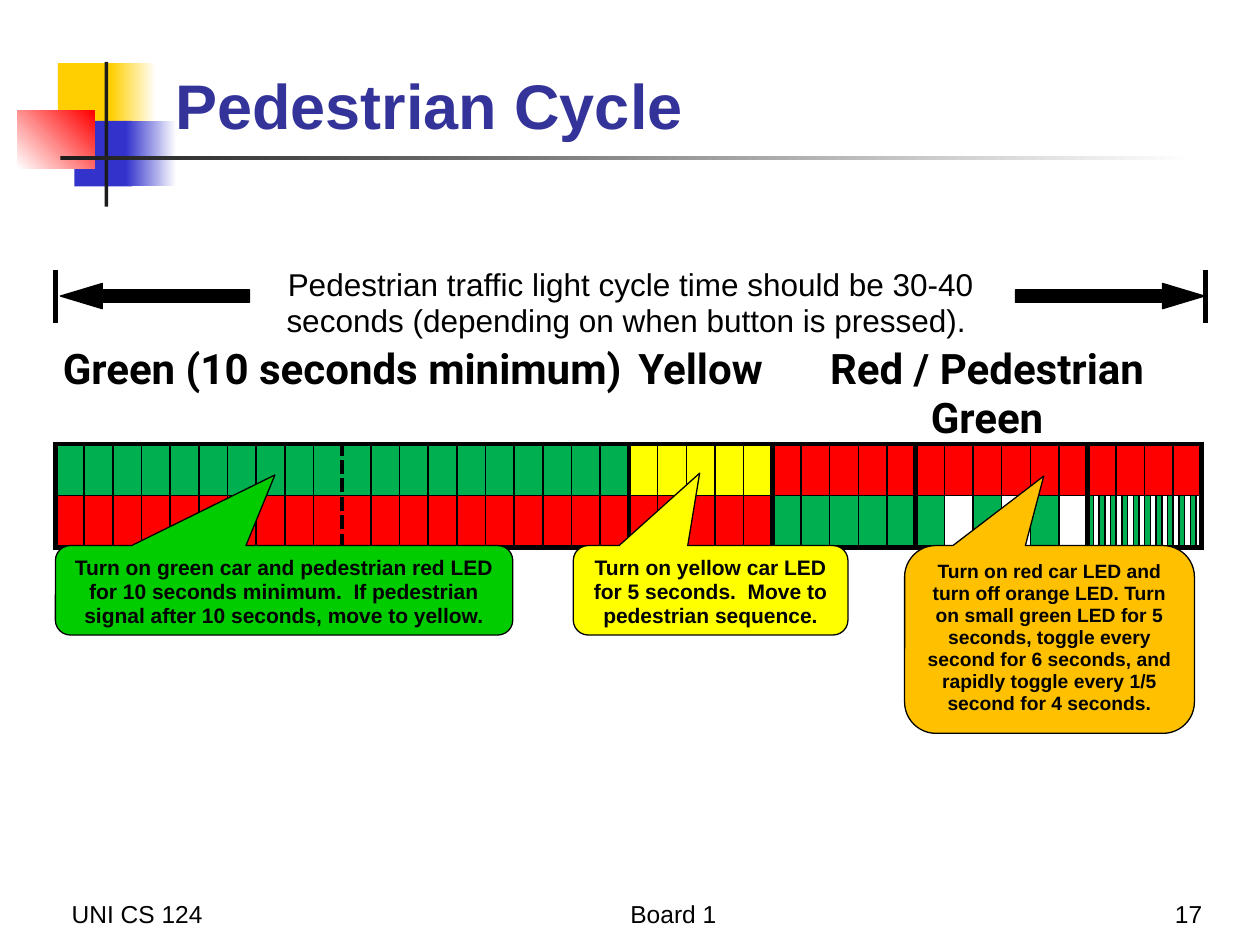
"""Build the Pedestrian Cycle slide with its traffic light timeline."""
from typing import NamedTuple, Optional

from lxml.etree import SubElement
from pptx import Presentation
from pptx.dml.color import RGBColor
from pptx.enum.shapes import MSO_CONNECTOR, MSO_SHAPE
from pptx.enum.text import MSO_ANCHOR, PP_ALIGN
from pptx.oxml.ns import qn
from pptx.util import Pt

PX = 9144
COLORS = {
    "black": "000000", "white": "FFFFFF", "title": "333399", "ink": "1C1C1C",
    "gold": "FFCF01", "blue": "3333CC", "red": "FF0000", "green": "00B050",
    "yellow": "FFFF00", "lime": "00CC00", "orange": "FFC000",
}
PLAIN_TABLE_STYLE = "{2D5ABB26-0587-4C30-8999-92F81FD0307C}"
TABLE_BOX = (44, 274, 911, 122)
ROW_HEIGHT = 41
CYCLE_SECONDS = 40
WHOLE_SECONDS = 36
BLINKS = 5
COLUMNS = WHOLE_SECONDS + (CYCLE_SECONDS - WHOLE_SECONDS) * BLINKS
PHASE_EDGES = {0, 20, 25, 30, 36, COLUMNS}
MINIMUM_EDGE = 10

Box = tuple[int, int, int, int]


class Ornament(NamedTuple):
    box: Box
    start: str
    end: Optional[str] = None
    angle: int = 0


class Caption(NamedTuple):
    box: Box
    text: str
    size: int
    align: PP_ALIGN
    anchor: MSO_ANCHOR
    spacing: float


class Callout(NamedTuple):
    box: Box
    text: str
    size: int
    fill: str
    tip: tuple[float, float]


class Phase(NamedTuple):
    label: str
    first: int
    last: int
    car: str


ORNAMENTS = [
    Ornament((46, 50, 48, 52), "gold"),
    Ornament((88, 50, 36, 52), "gold", "white"),
    Ornament((59, 96, 46, 52), "blue"),
    Ornament((100, 96, 40, 52), "blue", "white"),
    Ornament((14, 88, 61, 46), "white", "red", 45),
    Ornament((83, 49, 3, 115), "ink"),
    Ornament((48, 124, 900, 3), "ink", "white"),
]
CAPTIONS = [
    Caption((47, 692, 208, 50), "UNI CS 124", 14, PP_ALIGN.LEFT, MSO_ANCHOR.BOTTOM, 1),
    Caption((278, 692, 513, 50), "Board 1", 14, PP_ALIGN.CENTER, MSO_ANCHOR.BOTTOM, 1),
    Caption((756, 692, 208, 50), "17", 14, PP_ALIGN.RIGHT, MSO_ANCHOR.BOTTOM, 1),
    Caption((176, 208, 649, 68), "Pedestrian traffic light cycle time should be 30-40 seconds "
            "(depending on when button is pressed). ", 18, PP_ALIGN.CENTER, MSO_ANCHOR.TOP, 0.95),
]
CALLOUTS = [
    Callout((44, 433, 363, 71), "Turn on green car and pedestrian red LED for 10 seconds minimum.  "
            "If pedestrian signal after 10 seconds, move to yellow.", 12, "lime", (-0.02, -1.29)),
    Callout((455, 433, 218, 71), "Turn on yellow car LED for 5 seconds.  "
            "Move to pedestrian sequence.", 12, "yellow", (-0.04, -1.31)),
    Callout((718, 433, 230, 149), "Turn on red car LED and turn off orange LED. Turn on small green "
            "LED for 5 seconds, toggle every second for 6 seconds, and rapidly toggle every 1/5 "
            "second for 4 seconds.", 11, "orange", (-0.02, -0.87)),
]
PHASES = [
    Phase("Green (10 seconds minimum)", 0, 20, "green"),
    Phase("Yellow", 20, 25, "yellow"),
    Phase("Red / Pedestrian Green", 25, COLUMNS, "red"),
]


def rgb(name: str) -> RGBColor:
    return RGBColor.from_string(COLORS[name])


def emu(box: Box) -> list[int]:
    return [length * PX for length in box]


def write(frame, text: str, size: int, align=PP_ALIGN.CENTER, color="black",
          bold=False, font="Arial", spacing=1.0) -> None:
    frame.text = text
    paragraph = frame.paragraphs[0]
    paragraph.alignment = align
    paragraph.line_spacing = spacing
    for run in paragraph.runs:
        run.font.size, run.font.name, run.font.bold = Pt(size), font, bold
        run.font.color.rgb = rgb(color)


def add_solid(slide, preset: MSO_SHAPE, box: Box, fill: str, outlined: bool):
    shape = slide.shapes.add_shape(preset, *emu(box))
    shape.shadow.inherit = False
    shape.fill.solid()
    shape.fill.fore_color.rgb = rgb(fill)
    if outlined:
        shape.line.color.rgb = rgb("black")
        shape.line.width = Pt(0.75)
    else:
        shape.line.fill.background()
    return shape


def add_ornament(slide, ornament: Ornament) -> None:
    block = add_solid(slide, MSO_SHAPE.RECTANGLE, ornament.box, ornament.start, False)
    if ornament.end:
        block.fill.gradient()
        block.fill.gradient_angle = ornament.angle
        for stop, name in zip(block.fill.gradient_stops, (ornament.start, ornament.end)):
            stop.color.rgb = rgb(name)


def add_caption(slide, caption: Caption) -> None:
    frame = slide.shapes.add_textbox(*emu(caption.box)).text_frame
    frame.word_wrap = True
    frame.vertical_anchor = caption.anchor
    write(frame, caption.text, caption.size, caption.align, spacing=caption.spacing)


def add_callout(slide, callout: Callout) -> None:
    bubble = add_solid(slide, MSO_SHAPE.ROUNDED_RECTANGULAR_CALLOUT, callout.box, callout.fill, True)
    bubble.adjustments[0], bubble.adjustments[1] = callout.tip
    bubble.text_frame.vertical_anchor = MSO_ANCHOR.TOP
    write(bubble.text_frame, callout.text, callout.size, bold=True, spacing=0.95)


def add_span_arrow(slide, preset: MSO_SHAPE, left: int) -> None:
    arrow = add_solid(slide, preset, (left, 225, 150, 20), "black", True)
    arrow.adjustments[1] = 1.66


def add_end_mark(slide, x: int) -> None:
    mark = slide.shapes.add_connector(MSO_CONNECTOR.STRAIGHT, *emu((x, 214, x, 256)))
    mark.line.color.rgb = rgb("black")
    mark.line.width = Pt(3)
    SubElement(mark._element.spPr, qn("a:effectLst"))


def add_border(cell, side: str, width: int, dash: str = "solid") -> None:
    border = SubElement(cell._tc.get_or_add_tcPr(), qn(f"a:ln{side}"), w=str(Pt(width)))
    fill = SubElement(border, qn("a:solidFill"))
    SubElement(fill, qn("a:srgbClr"), val=COLORS["black"])
    SubElement(border, qn("a:prstDash"), val=dash)


def paint_lamp(cell, row: int, first: int, last: int, color: Optional[str]) -> None:
    for side, edge in (("L", first), ("R", last)):
        thick = edge in PHASE_EDGES or edge == MINIMUM_EDGE
        add_border(cell, side, 3 if thick else 1, "dash" if edge == MINIMUM_EDGE else "solid")
    add_border(cell, "T", 3 if row == 1 else 1)
    add_border(cell, "B", 3 if row == 2 else 1)
    if color:
        cell.fill.solid()
        cell.fill.fore_color.rgb = rgb(color)
    else:
        cell.fill.background()


def pedestrian_lamp(column: int) -> Optional[str]:
    if column < 25:
        return "red"
    return "green" if column < 30 or column % 2 == 0 else None


def add_timeline(slide) -> None:
    table = slide.shapes.add_table(3, COLUMNS, *emu(TABLE_BOX)).table
    table.first_row = table.horz_banding = False
    table._tbl.tblPr.find(qn("a:tableStyleId")).text = PLAIN_TABLE_STYLE
    second = TABLE_BOX[2] * PX // CYCLE_SECONDS
    for index, column in enumerate(table.columns):
        column.width = second if index < WHOLE_SECONDS else second // BLINKS
    for row in table.rows:
        row.height = ROW_HEIGHT * PX
    for cell in table.iter_cells():
        cell.margin_left = cell.margin_right = cell.margin_top = cell.margin_bottom = 0
    for phase in PHASES:
        header = table.cell(0, phase.first)
        header.merge(table.cell(0, phase.last - 1))
        write(header.text_frame, phase.label, 24, bold=True, font="Roboto")
        add_border(header, "B", 3)
        for column in range(phase.first, min(phase.last, WHOLE_SECONDS)):
            paint_lamp(table.cell(1, column), 1, column, column + 1, phase.car)
    for first in range(WHOLE_SECONDS, COLUMNS, BLINKS):
        lamp = table.cell(1, first)
        lamp.merge(table.cell(1, first + BLINKS - 1))
        paint_lamp(lamp, 1, first, first + BLINKS, "red")
    for column in range(COLUMNS):
        paint_lamp(table.cell(2, column), 2, column, column + 1, pedestrian_lamp(column))


def main() -> None:
    deck = Presentation()
    deck.slide_width, deck.slide_height = 1000 * PX, 750 * PX
    slide = deck.slides.add_slide(deck.slide_layouts[5])
    for ornament in ORNAMENTS:
        add_ornament(slide, ornament)
    title = slide.shapes.title
    title.left, title.top, title.width, title.height = emu((129, 23, 852, 95))
    title.text_frame.vertical_anchor = MSO_ANCHOR.BOTTOM
    write(title.text_frame, "Pedestrian Cycle", 36, PP_ALIGN.LEFT, "title", True)
    add_timeline(slide)
    for caption in CAPTIONS:
        add_caption(slide, caption)
    add_span_arrow(slide, MSO_SHAPE.LEFT_ARROW, 48)
    add_span_arrow(slide, MSO_SHAPE.RIGHT_ARROW, 806)
    for callout in CALLOUTS:
        add_callout(slide, callout)
    for x in (44, 957):
        add_end_mark(slide, x)
    deck.save("out.pptx")


if __name__ == "__main__":
    main()
